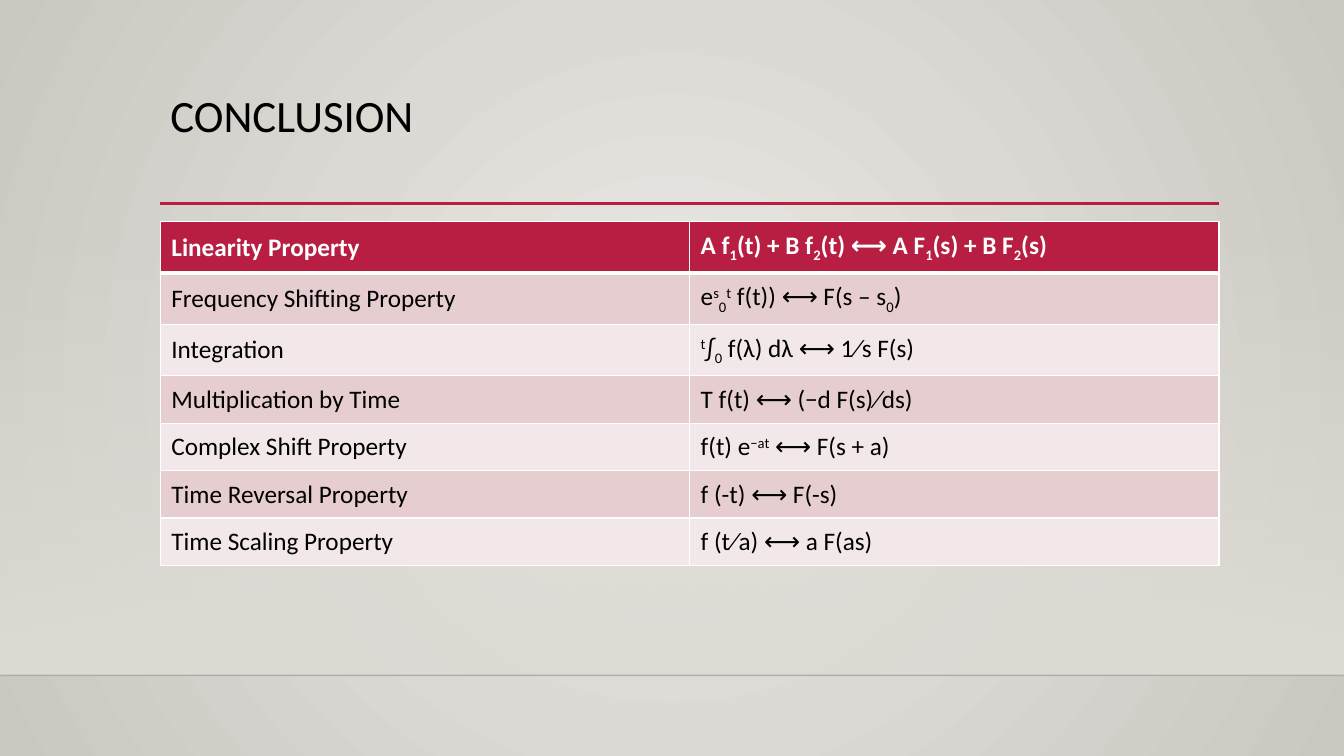
from lxml.etree import SubElement
from pptx import Presentation
from pptx.dml.color import RGBColor
from pptx.enum.shapes import MSO_CONNECTOR, MSO_SHAPE
from pptx.enum.text import MSO_ANCHOR, PP_ALIGN
from pptx.oxml.ns import qn
from pptx.util import Emu, Inches, Pt

BLACK = RGBColor(0x00, 0x00, 0x00)
INK = RGBColor(0x00, 0x00, 0x01)
WHITE = RGBColor(0xFF, 0xFF, 0xFF)
CRIMSON = RGBColor(0xB7, 0x1E, 0x42)
BANDS = (RGBColor(0xF3, 0xE8, 0xE9), RGBColor(0xE6, 0xCD, 0xCF))
GLOW = RGBColor(0xEC, 0xEA, 0xE7)
STONE = RGBColor(0xCA, 0xC7, 0xC1)
SAND = RGBColor(0xDF, 0xDB, 0xD5)

TITLE_FONT = {"name": "Calibri", "size": Pt(32), "bold": False}
CELL_FONT = {"name": "Calibri", "size": Pt(18)}
CELL_BOX = {"margin_left": Inches(0.11), "margin_right": Inches(0.11),
            "margin_top": Inches(0.08), "margin_bottom": Inches(0.08),
            "vertical_anchor": MSO_ANCHOR.MIDDLE}
BASELINES = {"_": -25000, "^": 30000}

# Shares of the slide's width and height, in percent
LEFT, WIDTH = 11.93, 78.77
FLOOR = 89.33
WALL_TOP, RULE_Y, TABLE_TOP = 29.47, 26.93, 29.33
TALL_ROW, ROW = 6.8, 6.27

# "|" parts the runs; a leading "_" lowers a run and "^" raises it
PROPERTIES = [
    ("Linearity Property", "A f|_1|(t) + B f|_2|(t) ⟷ A F|_1|(s) + B F|_2|(s)"),
    ("Frequency Shifting Property", "e|^s|_0|^t|\u00a0f(t)) ⟷ F(s – s|_0|)"),
    ("Integration", "^t|∫|_0|\u00a0f(λ) dλ ⟷ 1⁄s F(s)"),
    ("Multiplication by Time", "T f(t) ⟷ (−d F(s)⁄ds)"),
    ("Complex Shift Property", "f(t) e|^−at|\u00a0⟷ F(s + a)"),
    ("Time Reversal Property", "f (-t) ⟷ F(-s)"),
    ("Time Scaling Property", "f (t⁄a) ⟷ a F(as)"),
]


def apply(target, values):
    """Set each attribute in values on target."""
    for name, value in values.items():
        setattr(target, name, value)


def add(parent, tag, **attrs):
    """Append an XML child with the given attributes."""
    return SubElement(parent, qn(tag), {k: str(v) for k, v in attrs.items()})


def set_gradient(owner, stops):
    """Replace the stops of the owner's first gradient; return its element."""
    grad = owner.find(".//" + qn("a:gradFill"))
    for child in list(grad):
        grad.remove(child)
    stop_list = add(grad, "a:gsLst")
    for pos, color, alpha in stops:
        gs = add(stop_list, "a:gs", pos=pos * 1000)
        add(add(gs, "a:srgbClr", val=color), "a:alpha", val=alpha * 1000)
    return grad


class Deck:
    """Holds the style and the slide that is being drawn."""

    def __init__(self, prs):
        """Add a title-only slide."""
        self.prs = prs
        self.s = prs.slides.add_slide(prs.slide_layouts[5])

    def x(self, share):
        """Turn a percentage of the width into a length."""
        return Emu(round(self.prs.slide_width * share / 100))

    def y(self, share):
        """Turn a percentage of the height into a length."""
        return Emu(round(self.prs.slide_height * share / 100))

    def box(self, left, top, width, height):
        """Turn four shares into a position and size."""
        return self.x(left), self.y(top), self.x(width), self.y(height)

    def background(self, inner, outer):
        """Fill the background with a glow from the centre."""
        self.s.background.fill.gradient()
        grad = set_gradient(self.s.element, [(0, inner, 100), (100, outer, 100)])
        path = add(grad, "a:path", path="circle")
        add(path, "a:fillToRect", **dict.fromkeys("ltrb", 50000))

    def fade(self, color, *place):
        """Add a rectangle that fades in from top to bottom."""
        sp = self.s.shapes.add_shape(MSO_SHAPE.RECTANGLE, *self.box(*place))
        sp.shadow.inherit = False
        sp.line.fill.background()
        sp.fill.gradient()
        grad = set_gradient(sp.element, [(0, color, 0), (100, color, 100)])
        add(grad, "a:lin", ang=90 * 60000, scaled=0)

    def rule(self, left, y, width, color, weight, alpha=100):
        """Add a horizontal line."""
        line = self.s.shapes.add_connector(
            MSO_CONNECTOR.STRAIGHT, self.x(left), self.y(y),
            self.x(left + width), self.y(y))
        apply(line.line, {"width": Pt(weight)})
        line.line.color.rgb = color
        clr = line.element.spPr.find(".//" + qn("a:srgbClr"))
        add(clr, "a:alpha", val=alpha * 1000)
        add(line.element.spPr, "a:effectLst")

    def title(self, text, *place):
        """Fill and place the title, in front of the backdrop."""
        sp = self.s.shapes.title
        sp.element.getparent().append(sp.element)
        apply(sp, dict(zip(("left", "top", "width", "height"), self.box(*place))))
        tf = sp.text_frame
        apply(tf, {"text": text, "word_wrap": True,
                   "vertical_anchor": MSO_ANCHOR.TOP})
        p = tf.paragraphs[0]
        apply(p, {"alignment": PP_ALIGN.LEFT, "line_spacing": 0.9})
        apply(p.runs[0].font, TITLE_FONT)
        p.runs[0].font.color.rgb = BLACK

    def formula(self, p, text, bold, color):
        """Write marked-up text as runs with raised and lowered parts."""
        for part in text.split("|"):
            r = p.add_run()
            r.text = part.lstrip("_^")
            apply(r.font, {**CELL_FONT, "bold": bold})
            r.font.color.rgb = color
            if part[0] in BASELINES:
                r.font._element.set("baseline", str(BASELINES[part[0]]))

    def borders(self, cell, weights):
        """Draw white cell borders, with a weight for each side."""
        tc_pr = cell._tc.get_or_add_tcPr()
        for side, weight in weights.items():
            ln = add(tc_pr, "a:ln" + side, w=Pt(weight))
            add(add(ln, "a:solidFill"), "a:srgbClr", val=WHITE)

    def table(self, rows, heights, left, top, width):
        """Add a banded table with a strong header row."""
        frame = self.s.shapes.add_table(
            len(rows), len(rows[0]), *self.box(left, top, width, sum(heights)))
        table = frame.table
        for i, (texts, height) in enumerate(zip(rows, heights)):
            table.rows[i].height = self.y(height)
            header = i == 0
            for j, text in enumerate(texts):
                cell = table.cell(i, j)
                apply(cell, CELL_BOX)
                self.borders(cell, {"L": 1, "R": 1, "T": 3 if i == 1 else 1,
                                    "B": 3 if header else 1})
                cell.fill.solid()
                cell.fill.fore_color.rgb = CRIMSON if header else BANDS[i % 2]
                self.formula(cell.text_frame.paragraphs[0], text, header,
                             WHITE if header else BLACK)


def main():
    """Build the conclusion slide."""
    prs = Presentation()
    apply(prs, {"slide_width": Inches(13.33), "slide_height": Inches(7.5)})
    deck = Deck(prs)
    deck.background(GLOW, STONE)
    deck.fade(SAND, 0, WALL_TOP, 100, FLOOR - WALL_TOP)
    deck.rule(0, FLOOR, 100, INK, 1, alpha=20)
    deck.rule(LEFT, RULE_Y, WIDTH, CRIMSON, 2.5)
    deck.title("CONCLUSION", LEFT, 11.73, WIDTH, 15.33)
    heights = [TALL_ROW if "_" in formula else ROW for _, formula in PROPERTIES]
    deck.table(PROPERTIES, heights, LEFT, TABLE_TOP, WIDTH)
    prs.save("out.pptx")


main()
